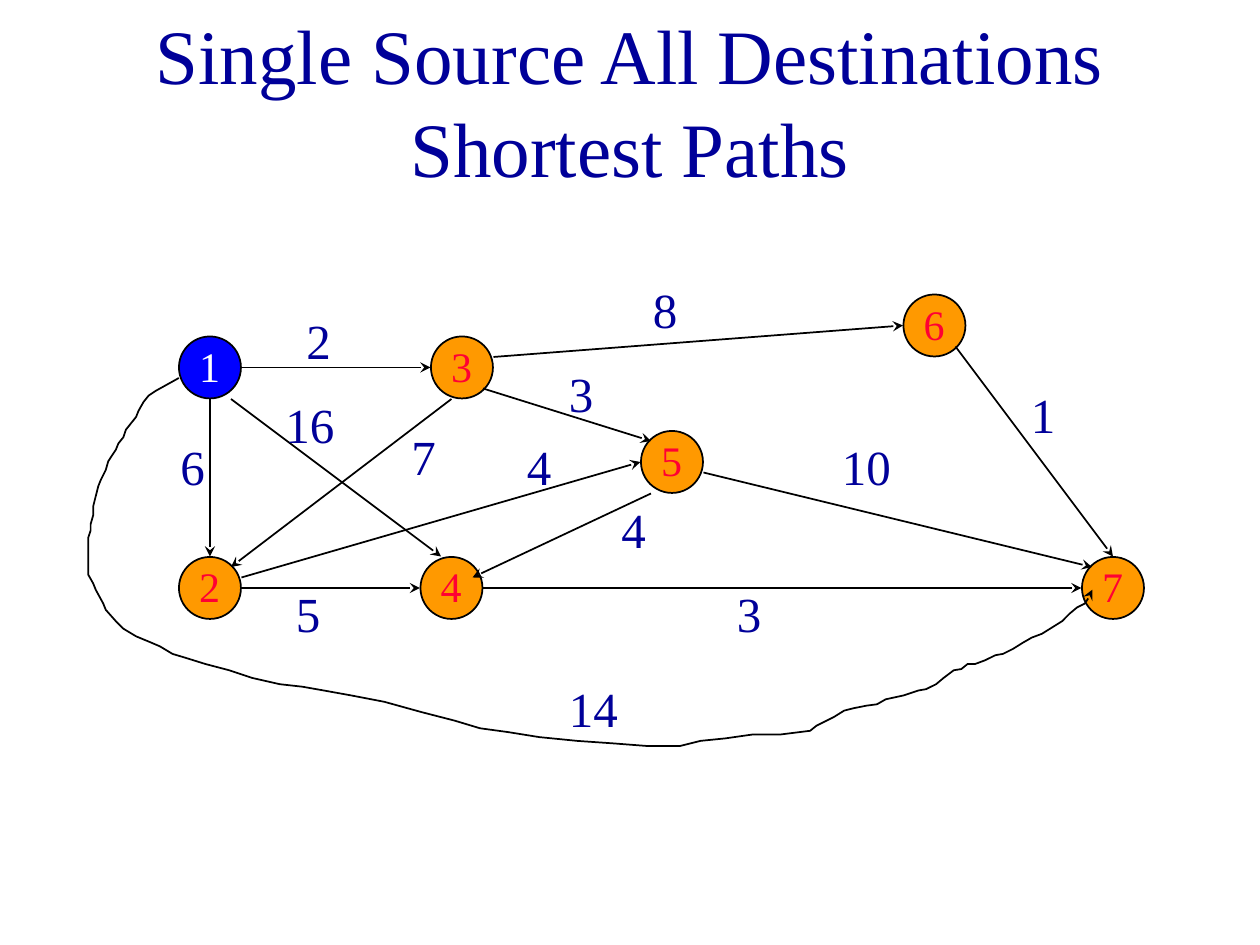
from lxml import etree
from pptx import Presentation
from pptx.dml.color import RGBColor
from pptx.enum.shapes import MSO_CONNECTOR as Connector, MSO_SHAPE as Preset
from pptx.enum.text import MSO_ANCHOR as Anchor, PP_ALIGN as Align
from pptx.oxml.ns import qn
from pptx.util import Cm, Pt

FONT = "Times New Roman"
NAVY = RGBColor(0x00, 0x00, 0x99)
BLUE = RGBColor(0x00, 0x00, 0xFF)
ORANGE = RGBColor(0xFF, 0x99, 0x00)
RED = RGBColor(0xFF, 0x00, 0x33)
WHITE = RGBColor(0xFF, 0xFF, 0xFF)
BLACK = RGBColor(0x00, 0x00, 0x00)

TITLE = "Single Source All Destinations Shortest Paths"
SOURCE = "1"

# Positions are in grid steps, twelve to the inch
STEP = 2.54 / 12
NODES = {  # name: centre
    "1": (20, 35), "2": (20, 56), "3": (44, 35), "4": (43, 56),
    "5": (64, 44), "6": (89, 31), "7": (106, 56),
}
EDGES = [  # start, end, weight, top left of weight
    ((91, 33), (106, 53), "1", (97, 36)),
    ((47, 34), (86, 31), "8", (61, 26)),
    ((23, 35), (41, 35), "2", (28, 29)),
    ((20, 38), (20, 53), "6", (16, 41)),
    ((23, 56), (40, 56), "5", (27, 55)),
    ((22, 38), (42, 53), "16", (26, 37)),
    ((43, 38), (22, 54), "7", (38, 40)),
    ((46, 37), (62, 42), "3", (53, 34)),
    ((23, 55), (61, 44), "4", (49, 41)),
    ((62, 47), (45, 55), "4", (58, 47)),
    ((46, 56), (103, 56), "3", (69, 55)),
    ((67, 45), (104, 54), "10", (79, 41)),
]
# Long way round from node 1 to node 7, in hundredths of an inch
DETOUR_WEIGHT, DETOUR_LABEL = "14", (53, 64)
DETOUR = [
    (142, 300), (133, 305), (124, 310), (118, 314), (114, 319), (110, 326),
    (108, 331), (104, 336), (100, 341), (98, 347), (94, 352), (92, 357),
    (86, 366), (84, 373), (80, 381), (78, 386), (76, 394), (74, 402),
    (74, 409), (72, 416), (72, 421), (70, 427), (70, 456), (74, 463),
    (76, 468), (82, 479), (84, 484), (92, 493), (98, 499), (108, 505),
    (120, 510), (127, 513), (137, 519), (147, 522), (163, 527), (182, 532),
    (200, 538), (222, 543), (240, 545), (257, 548), (279, 552), (305, 557),
    (334, 565), (361, 572), (381, 578), (403, 581), (428, 585), (458, 588),
    (487, 590), (513, 592), (540, 592), (556, 588), (576, 586), (597, 583),
    (619, 583), (635, 581), (643, 580), (648, 576), (656, 572), (662, 569),
    (670, 564), (678, 562), (688, 560), (696, 559), (703, 555), (717, 552),
    (729, 548), (735, 547), (743, 543), (749, 538), (757, 532), (763, 531),
    (768, 527), (774, 527), (782, 524), (790, 520), (796, 519), (804, 515),
    (812, 510), (819, 506), (827, 503), (835, 498), (843, 493), (849, 487),
    (855, 482), (861, 479), (865, 473), (867, 468),
]


def grid(steps):
    return Cm(steps * STEP)


def add_text(slide, text, box, size, color, wrap=True):
    shape = slide.shapes.add_textbox(*box)
    shape.text_frame.word_wrap = wrap
    paragraph = shape.text_frame.paragraphs[0]
    run = paragraph.add_run()
    run.text = text
    run.font.name, run.font.size = FONT, Pt(size)
    run.font.color.rgb = color
    return shape


def add_weight(slide, text, corner):
    width = Cm(1.06 if len(text) == 1 else 1.7)
    add_text(slide, text, (*map(grid, corner), width, Cm(1.45)), 28, NAVY)


def style_arrow(shape):
    shape.line.color.rgb, shape.line.width = BLACK, Pt(1)
    line = shape.line._get_or_add_ln()
    etree.SubElement(line, qn("a:tailEnd"), type="stealth")


presentation = Presentation()
presentation.slide_width, presentation.slide_height = Cm(25.4), Cm(19.05)
slide = presentation.slides.add_slide(presentation.slide_layouts[6])

# Title
title = add_text(slide, TITLE, (Cm(1.9), Cm(0.43), Cm(21.6), Cm(3.18)), 44, NAVY)
title.text_frame.vertical_anchor = Anchor.MIDDLE
title.text_frame.paragraphs[0].alignment = Align.CENTER

# Nodes: a circle with its name over it
DIAMETER, NAME_WIDTH, NAME_HEIGHT = Cm(1.25), Cm(0.94), Cm(1.27)
for name, centre in NODES.items():
    x, y = map(grid, centre)
    circle = slide.shapes.add_shape(
        Preset.OVAL, x - DIAMETER // 2, y - DIAMETER // 2, DIAMETER, DIAMETER)
    circle.shadow.inherit = False
    circle.fill.solid()
    circle.fill.fore_color.rgb = BLUE if name == SOURCE else ORANGE
    circle.line.color.rgb, circle.line.width = BLACK, Pt(1)
    box = (x - NAME_WIDTH // 2, y - NAME_HEIGHT // 2 - Cm(0.04), NAME_WIDTH, NAME_HEIGHT)
    add_text(slide, name, box, 24, WHITE if name == SOURCE else RED, wrap=False)

# Edges and their weights
for start, end, weight, corner in EDGES:
    edge = slide.shapes.add_connector(
        Connector.STRAIGHT, *map(grid, start), *map(grid, end))
    style_arrow(edge)
    etree.SubElement(edge._element.spPr, qn("a:effectLst"))
    add_weight(slide, weight, corner)

# Detour edge
builder = slide.shapes.build_freeform(*DETOUR[0], scale=Cm(2.54) / 100)
builder.add_line_segments(DETOUR[1:], close=False)
detour = builder.convert_to_shape()
detour.shadow.inherit = False
detour.fill.background()
style_arrow(detour)
add_weight(slide, DETOUR_WEIGHT, DETOUR_LABEL)

presentation.save("out.pptx")
